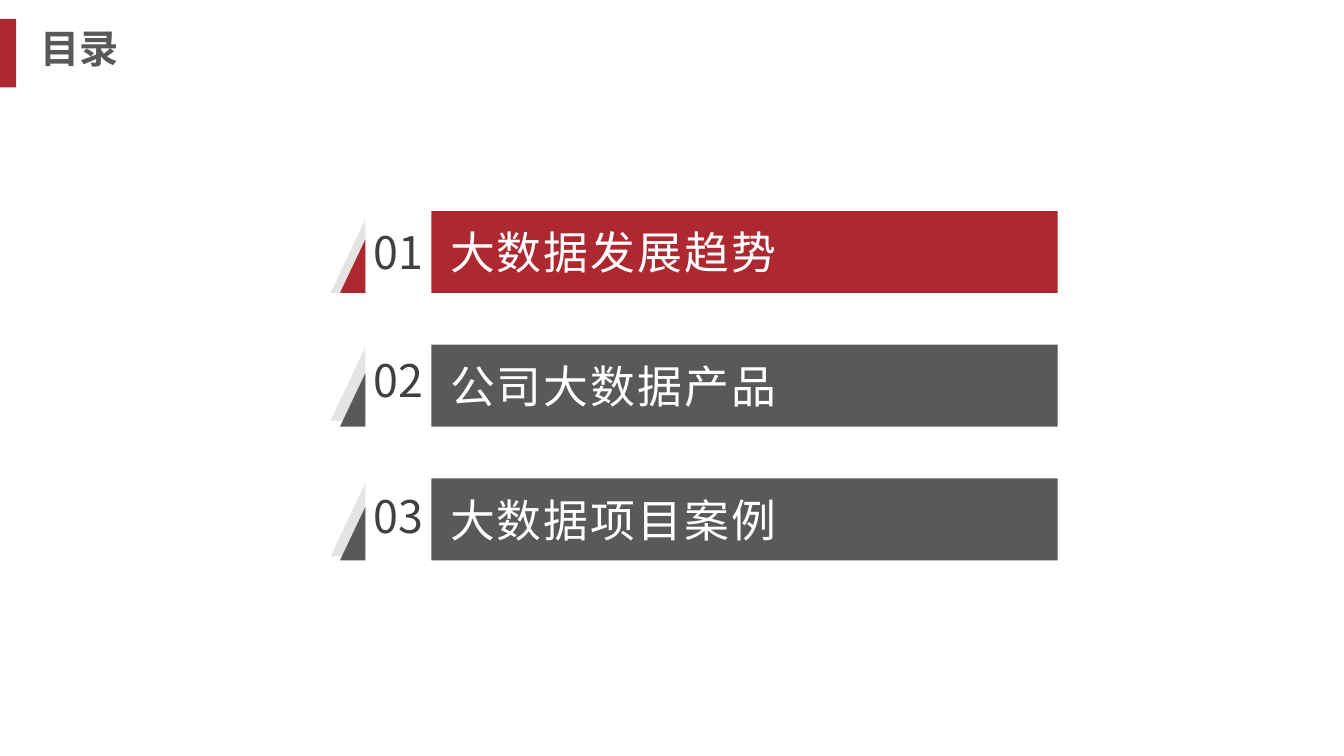
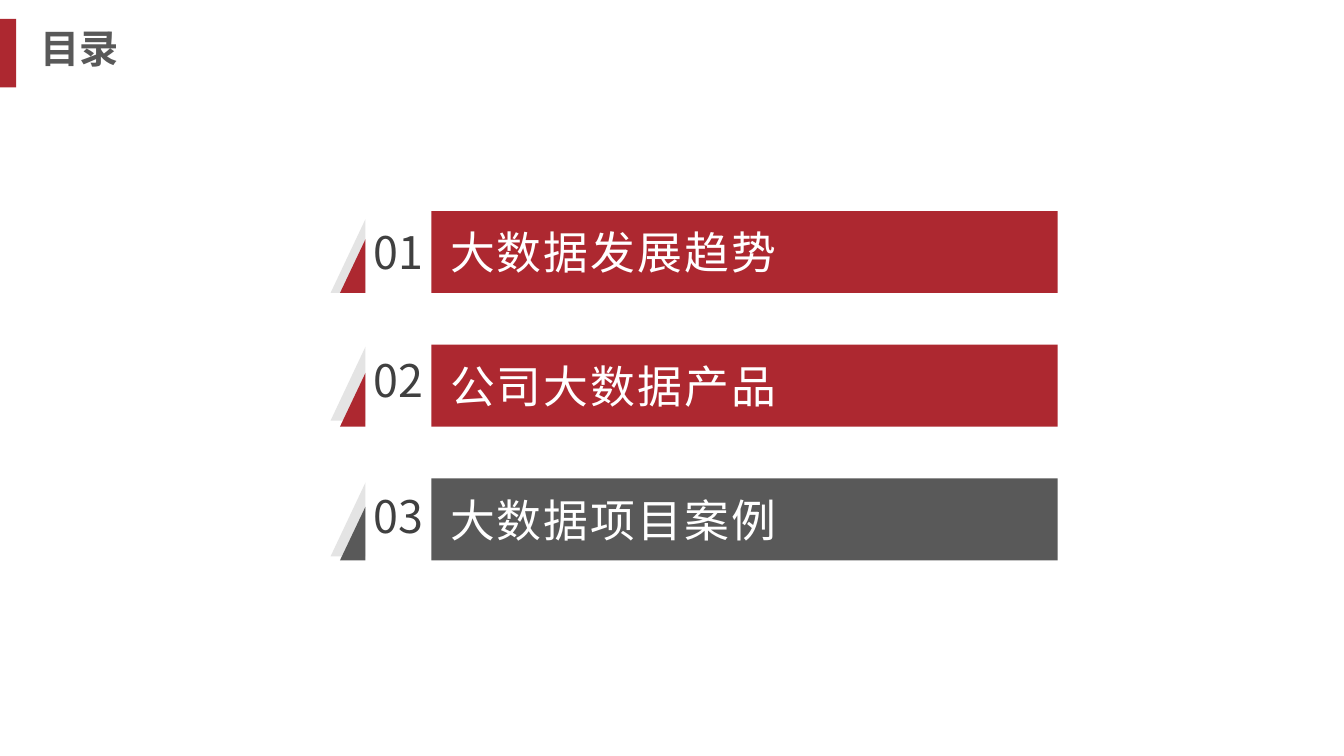
from lxml.etree import SubElement
from pptx import Presentation
from pptx.dml.color import RGBColor
from pptx.enum.shapes import MSO_SHAPE
from pptx.enum.text import MSO_ANCHOR, MSO_AUTO_SIZE, PP_ALIGN
from pptx.oxml.ns import qn
from pptx.util import Inches, Pt

COLORS = {
    "red": "AD2830",
    "gray": "595959",
    "pale": "E4E4E4",
    "number": "404040",
    "white": "FFFFFF",
}
FONT = "Noto Sans CJK SC"

# Agenda entries: label and top of the pale triangle with its number
ENTRIES = [
    ("大数据发展趋势", 1.63),
    ("公司大数据产品", 2.58),
    ("大数据项目案例", 3.59),
]

# Agenda geometry, in inches
FIRST_TOP, LAST_TOP, ROW_HEIGHT = 1.57, 3.56, 0.61
ROW_PITCH = (LAST_TOP - FIRST_TOP) / (len(ENTRIES) - 1)
PALE_LEFT, SHARD_LEFT, SHARD_RIGHT = 2.46, 2.53, 2.72
BAR_LEFT, BAR_RIGHT = 3.21, 7.87


def color(name):
    return RGBColor.from_string(COLORS[name])


def paint(shape, fill):
    shape.fill.solid()
    shape.fill.fore_color.rgb = color(fill)
    shape.line.fill.background()
    shape.shadow.inherit = False


def set_frame(frame, anchor, left=0.0, top=0.0):
    frame.word_wrap = True
    frame.auto_size = MSO_AUTO_SIZE.NONE
    frame.vertical_anchor = anchor
    frame.margin_left, frame.margin_top = Inches(left), Inches(top)
    frame.margin_right = frame.margin_bottom = 0


def add_span(para, text, size, fill, bold=False, spacing=None):
    span = para.add_run()
    span.text = text
    span.font.size = Pt(size)
    span.font.bold = bold
    span.font.color.rgb = color(fill)
    span.font.name = FONT
    properties = span._r.get_or_add_rPr()
    SubElement(properties, qn("a:ea")).set("typeface", FONT)
    if spacing:
        properties.set("spc", str(round(spacing * 100)))


def add_outline(shapes, contours, fill):
    """Draw one filled freeform from closed contours of points in inches."""
    contours = [[(Inches(x), Inches(y)) for x, y in points] for points in contours]
    builder = shapes.build_freeform(*contours[0][0])
    for index, points in enumerate(contours):
        if index:
            builder.move_to(*points[0])
        builder.add_line_segments(points[1:], close=True)
    outline = builder.convert_to_shape()
    paint(outline, fill)
    return outline


def triangle(left, top, bottom):
    return [(SHARD_RIGHT, top), (SHARD_RIGHT, bottom), (left, bottom)]


def add_entry(shapes, index, label, pale_top, fill):
    top = FIRST_TOP + index * ROW_PITCH
    bottom = top + ROW_HEIGHT

    # Pale triangle behind the coloured one
    add_outline(shapes, [triangle(PALE_LEFT, pale_top, pale_top + 0.55)], "pale")

    # Coloured triangle and label bar in one shape
    bar = [(BAR_LEFT, top), (BAR_RIGHT, top), (BAR_RIGHT, bottom), (BAR_LEFT, bottom)]
    banner = add_outline(shapes, [triangle(SHARD_LEFT, top + 0.21, bottom), bar], fill)
    set_frame(banner.text_frame, MSO_ANCHOR.MIDDLE, left=0.82)
    para = banner.text_frame.paragraphs[0]
    para.alignment = PP_ALIGN.LEFT
    add_span(para, label, 24, "white", spacing=1.1)

    # Number between them
    box = shapes.add_textbox(
        Inches(SHARD_RIGHT), Inches(pale_top - 0.06),
        Inches(BAR_LEFT - SHARD_RIGHT), Inches(ROW_HEIGHT))
    set_frame(box.text_frame, MSO_ANCHOR.MIDDLE)
    para = box.text_frame.paragraphs[0]
    para.alignment = PP_ALIGN.CENTER
    add_span(para, f"{index + 1:02d}", 24, "number")


def add_title(page, text):
    title = page.shapes.title
    title.left, title.top = Inches(0.2), Inches(0.14)
    title.width, title.height = Inches(8.27), Inches(0.51)
    set_frame(title.text_frame, MSO_ANCHOR.TOP, left=0.1, top=0.04)
    para = title.text_frame.paragraphs[0]
    para.alignment = PP_ALIGN.LEFT
    add_span(para, text, 21, "gray", bold=True)


def add_layout_mark(layout, page):
    """Place the red edge mark on the layout that all slides share."""
    mark = page.shapes.add_shape(
        MSO_SHAPE.RECTANGLE, 0, Inches(0.14), Inches(0.12), Inches(0.51))
    paint(mark, "red")
    layout.element.cSld.spTree.append(mark.element)


def add_agenda(deck, layout, reached):
    page = deck.slides.add_slide(layout)
    add_title(page, "目录")
    agenda = page.shapes.add_group_shape()
    for index, (label, pale_top) in enumerate(ENTRIES):
        fill = "red" if index < reached else "gray"
        add_entry(agenda.shapes, index, label, pale_top, fill)
    return page


def main():
    # Widescreen page, 16:9
    deck = Presentation()
    deck.slide_width = Inches(10)
    deck.slide_height = deck.slide_width * 9 // 16
    layout = deck.slide_layouts.get_by_name("Title Only")

    # One agenda per chapter reached
    pages = [add_agenda(deck, layout, reached) for reached in (1, 2)]
    add_layout_mark(layout, pages[0])
    deck.save("out.pptx")


if __name__ == "__main__":
    main()
